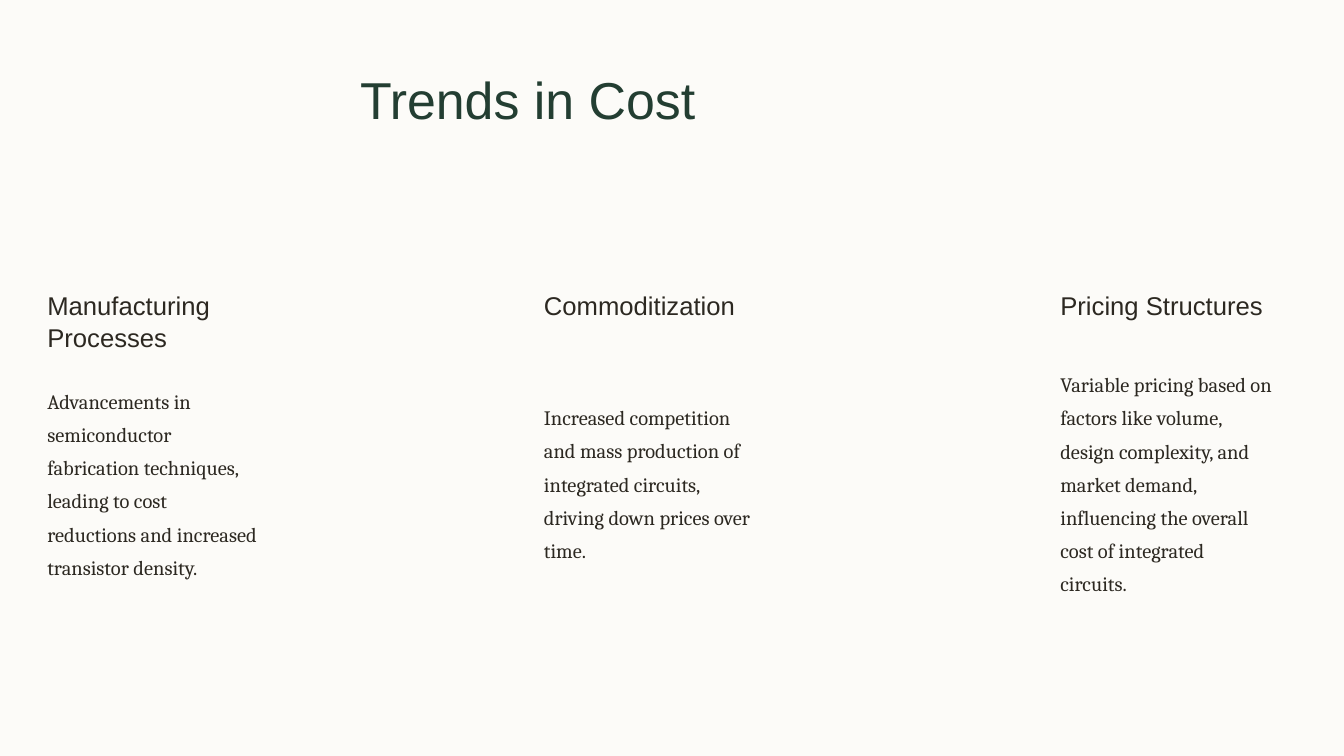
"""Build the Trends in Cost slide with its three columns."""
import pptx
import pptx.dml.color
import pptx.enum.shapes
import pptx.util

Cm = pptx.util.Cm
Pt = pptx.util.Pt

TITLE = "Trends in Cost"
TRENDS = [
    {"left": 1.79, "heading": "Manufacturing Processes", "heading_height": 2.51, "lines": 6,
     "detail": "Advancements in semiconductor fabrication techniques, leading to cost "
               "reductions and increased transistor density."},
    {"left": 20.56, "heading": "Commoditization", "heading_height": 1.3, "lines": 5,
     "detail": "Increased competition and mass production of integrated circuits, "
               "driving down prices over time."},
    {"left": 40.08, "heading": "Pricing Structures", "heading_height": 2.51, "lines": 7,
     "detail": "Variable pricing based on factors like volume, design complexity, and "
               "market demand, influencing the overall cost of integrated circuits."},
]
TITLE_FORMAT = {"name": "Arial", "size": Pt(55.6)}
HEADING_FORMAT = {"name": "Arial", "size": Pt(27.5)}
DETAIL_FORMAT = {"name": "Cambria", "size": Pt(21.9)}
GREEN, BROWN, CREAM = "233E32", "2C2821", "FCFBF8"

COLUMN_WIDTH = 8
HEADING_TOP = 10.92
DETAIL_MIDDLE = 18.86
DETAIL_LINE = 1.25


def set_color(target, color):
    target.rgb = pptx.dml.color.RGBColor.from_string(color)


def add_text(slide, wording, place, line_spacing, font_format, color):
    frame = slide.shapes.add_textbox(*map(Cm, place)).text_frame
    frame.word_wrap = True
    for side in ("left", "top", "right", "bottom"):
        setattr(frame, f"margin_{side}", 0)
    paragraph = frame.paragraphs[0]
    paragraph.line_spacing = Pt(line_spacing)
    run = paragraph.add_run()
    run.text = wording
    for attribute, value in font_format.items():
        setattr(run.font, attribute, value)
    set_color(run.font.color, color)


def main():
    deck = pptx.Presentation()
    deck.slide_width, deck.slide_height = Cm(50.8), Cm(28.575)
    slide = deck.slides.add_slide(deck.slide_layouts[6])
    backdrop = slide.shapes.add_shape(
        pptx.enum.shapes.MSO_SHAPE.RECTANGLE, 0, 0, deck.slide_width, deck.slide_height)
    backdrop.shadow.inherit = False
    backdrop.fill.solid()
    set_color(backdrop.fill.fore_color, CREAM)
    backdrop.line.fill.background()

    add_text(slide, TITLE, (13.61, 2.46, 19.69, 2.51), 69.4, TITLE_FORMAT, GREEN)
    for trend in TRENDS:
        heading_place = (trend["left"], HEADING_TOP, COLUMN_WIDTH, trend["heading_height"])
        add_text(slide, trend["heading"], heading_place, 34.4, HEADING_FORMAT, BROWN)
        height = (trend["lines"] + 1) * DETAIL_LINE + 0.24
        detail_place = (trend["left"], DETAIL_MIDDLE - height / 2, COLUMN_WIDTH, height)
        add_text(slide, trend["detail"], detail_place, 35.6, DETAIL_FORMAT, BROWN)

    deck.save("out.pptx")


if __name__ == "__main__":
    main()
